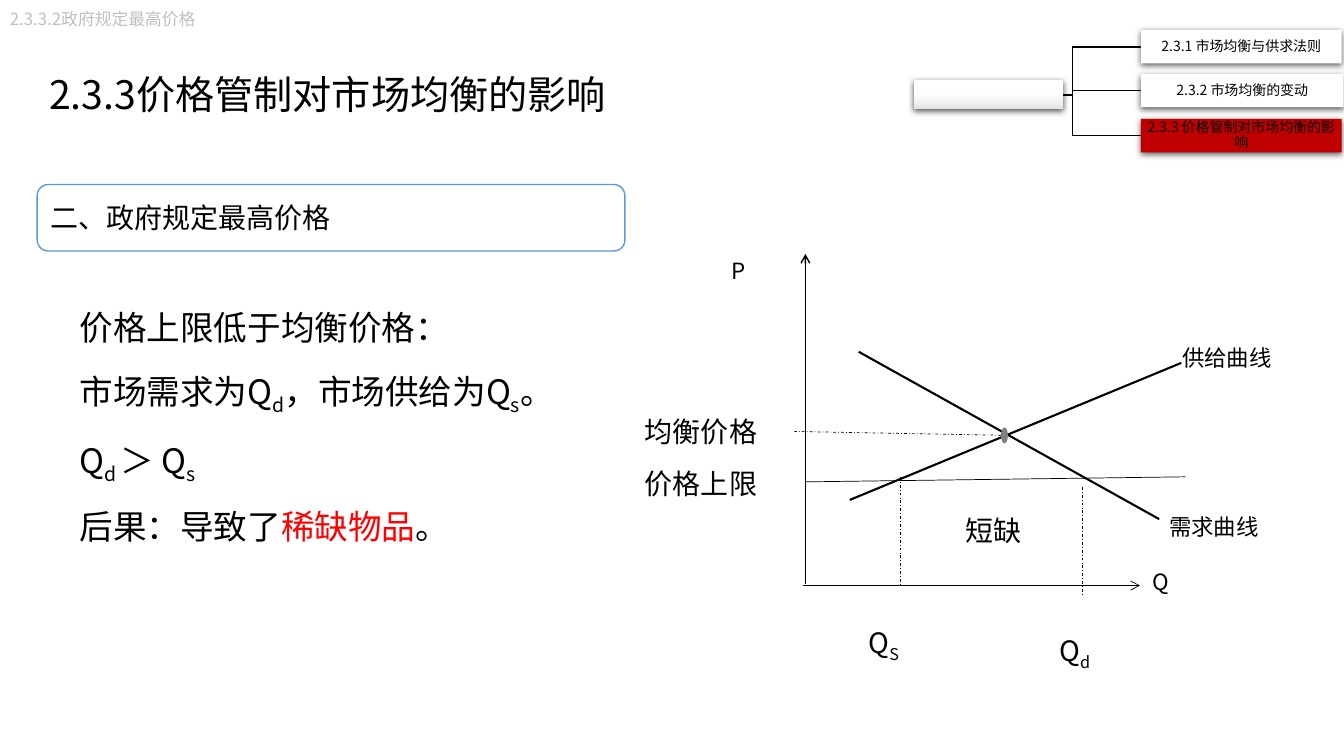
from lxml import etree
from pptx import Presentation
from pptx.dml.color import RGBColor
from pptx.enum.dml import MSO_LINE
from pptx.enum.shapes import MSO_CONNECTOR, MSO_SHAPE
from pptx.enum.text import MSO_ANCHOR, PP_ALIGN
from pptx.oxml.ns import qn
from pptx.util import Pt

STRAIGHT = MSO_CONNECTOR.STRAIGHT
RECTANGLE, ROUNDED, OVAL = MSO_SHAPE.RECTANGLE, MSO_SHAPE.ROUNDED_RECTANGLE, MSO_SHAPE.OVAL
MIDDLE, CENTER, DASH_DOT = MSO_ANCHOR.MIDDLE, PP_ALIGN.CENTER, MSO_LINE.DASH_DOT
BLACK = RGBColor(0, 0, 0)
WHITE = RGBColor(255, 255, 255)
RED = RGBColor(255, 0, 0)
DARK_RED = RGBColor(0xC0, 0, 0)
BLUE = RGBColor(0x5B, 0x9B, 0xD5)
GREY = RGBColor(0x80, 0x80, 0x80)
PALE = RGBColor(0xBF, 0xBF, 0xBF)
SILVER = RGBColor(0xE3, 0xE3, 0xE3)
FONT = "Noto Sans CJK SC"

SUB = {"sub": True}
HOT = {"color": RED}
BODY = [
    ["价格上限低于均衡价格："],
    ["市场需求为Q", ("d", SUB), "，市场供给为Q", ("s", SUB), "。"],
    ["Q", ("d ", SUB), "＞ Q", ("s", SUB)],
    ["后果：导致了", ("稀缺物品", HOT), "。"],
]
LABELS = [
    ((26.6, 46, 695, 42.5), [["2.3.3价格管制对市场均衡的影响"]], 28, {"left": 8.6, "top": 4.3}),
    ((515.5, 180, 44, 26.6), [["P"]], 16, {}),
    ((815.8, 402.5, 44, 26.6), [["Q"]], 16, {}),
    ((837.4, 242, 79.2, 26.6), [["供给曲线"]], 16, {}),
    ((828, 363, 79.2, 26.6), [["需求曲线"]], 16, {}),
    ((453.6, 292.3, 113, 31.5), [["均衡价格"]], 20, {}),
    ((453.6, 329.8, 113, 31.5), [["价格上限"]], 20, {}),
    ((613.4, 443.5, 54, 31.5), [["Q", ("S", SUB)]], 20, {}),
    ((749.5, 448.6, 54, 31.5), [["Q", ("d", SUB)]], 20, {}),
    ((49.7, 201.6, 382.3, 181.4), BODY, 24, {"spacing": 1.5}),
    ((682.6, 363, 69, 31.5), [["短缺"]], 20, {}),
    ((0, 2.9, 156, 21.6), [["2.3.3.2政府规定最高价格"]], 12, {"color": PALE}),
]
LINES = [
    ((573.8, 418.3), (814.3, 418.3), 0.5, {"arrow": True}),
    ((575.3, 416.9), (575.3, 181.4), 1, {"arrow": True}),
    ((843.8, 259.2), (607, 357.1), 1.5, {}),
    ((613.4, 251.3), (828, 370.8), 1.5, {}),
    ((575.3, 344.2), (846.7, 340.6), 0.5, {}),
    ((720.7, 311), (567.4, 308.2), 0.5, {"dash": DASH_DOT}),
    ((643, 340.6), (643, 418.3), 0.5, {"dash": DASH_DOT}),
    ((773.3, 347.8), (773.3, 425.5), 0.5, {"dash": DASH_DOT}),
]
TREE_START, TREE_BEND, LEAF_LEFT, LEAF_HEIGHT = (717.1, 67.7), 766.1, 815, 23.8
LEAVES = [
    ("2.3.1 市场均衡与供求法则", 21.6, 143.3, WHITE),
    ("2.3.2 市场均衡的变动", 52.8, 144.7, WHITE),
    ("2.3.3 价格管制对市场均衡的影响", 85, 143.3, DARK_RED),
]

deck = Presentation()
deck.slide_width, deck.slide_height = Pt(960), Pt(540)
page = deck.slides.add_slide(deck.slide_layouts[6])


def write(box, lines, size, left=7.2, top=3.6, color=BLACK, spacing=None, align=None, anchor=None):
    frame = box.text_frame
    layout = {"word_wrap": True, "margin_left": Pt(left), "margin_right": Pt(left),
              "margin_top": Pt(top), "margin_bottom": Pt(top), "vertical_anchor": anchor}
    for name, value in layout.items():
        setattr(frame, name, value)
    for number, line in enumerate(lines):
        para = frame.add_paragraph() if number else frame.paragraphs[0]
        para.alignment, para.line_spacing = align, spacing
        for part in line:
            text, style = part if isinstance(part, tuple) else (part, {})
            span = para.add_run()
            span.text = text
            span.font.size, span.font.name = Pt(size), FONT
            span.font.color.rgb = style.get("color", color)
            properties = span.font._element
            etree.SubElement(properties, qn("a:ea"), typeface=FONT)
            if style.get("sub"):
                properties.set("baseline", "-25000")


def add_block(kind, place, fill, outline=None):
    block = page.shapes.add_shape(kind, *map(Pt, place))
    block.shadow.inherit = False
    block.fill.solid()
    block.fill.fore_color.rgb = fill
    if outline is None:
        block.line.fill.background()
    else:
        block.line.color.rgb, block.line.width = outline, Pt(1)
    return block


def cast_shadow(block):
    effects = block._element.spPr.find(qn("a:effectLst"))
    shadow = etree.SubElement(effects, qn("a:outerShdw"), blurRad=str(Pt(4.5)),
                              dist=str(Pt(1.5)), dir="5400000", rotWithShape="0")
    tone = etree.SubElement(shadow, qn("a:srgbClr"), val="000000")
    etree.SubElement(tone, qn("a:alpha"), val="63000")


heading = add_block(ROUNDED, (26.6, 131.8, 419.8, 47.5), WHITE, BLUE)
write(heading, [["二、政府规定最高价格"]], 20, align=PP_ALIGN.LEFT, anchor=MIDDLE)

for _, top, _, _ in LEAVES:
    middle = top + LEAF_HEIGHT / 2
    branch = page.shapes.build_freeform(*map(Pt, TREE_START))
    corners = [(TREE_BEND, TREE_START[1]), (TREE_BEND, middle), (LEAF_LEFT, middle)]
    branch.add_line_segments([(Pt(x), Pt(y)) for x, y in corners], close=False)
    elbow = branch.convert_to_shape()
    elbow.shadow.inherit = False
    elbow.fill.background()
    elbow.line.color.rgb, elbow.line.width = BLACK, Pt(1)

root = add_block(RECTANGLE, (653, 56.9, 106.6, 20.9), WHITE)
root.fill.gradient()
root.fill.gradient_angle = 270
for stop, (color, position) in zip(root.fill.gradient_stops, [(WHITE, 0.5), (SILVER, 1)]):
    stop.color.rgb, stop.position = color, position
cast_shadow(root)

for text, top, width, fill in LEAVES:
    leaf = add_block(RECTANGLE, (LEAF_LEFT, top, width, LEAF_HEIGHT), fill)
    cast_shadow(leaf)
    write(leaf, [[text]], 10, 0.7, 0.7, spacing=0.9, align=CENTER, anchor=MIDDLE)

for start, end, width, style in LINES:
    line = page.shapes.add_connector(STRAIGHT, *map(Pt, start + end))
    line.line.color.rgb, line.line.width = BLACK, Pt(width)
    if "dash" in style:
        line.line.dash_style = style["dash"]
    if "arrow" in style:
        etree.SubElement(line.line._get_or_add_ln(), qn("a:tailEnd"), type="arrow")
    etree.SubElement(line._element.spPr, qn("a:effectLst"))

add_block(OVAL, (715, 305.3, 5, 11.5), GREY)

for place, lines, size, style in LABELS:
    write(page.shapes.add_textbox(*map(Pt, place)), lines, size, **style)

deck.save("out.pptx")
